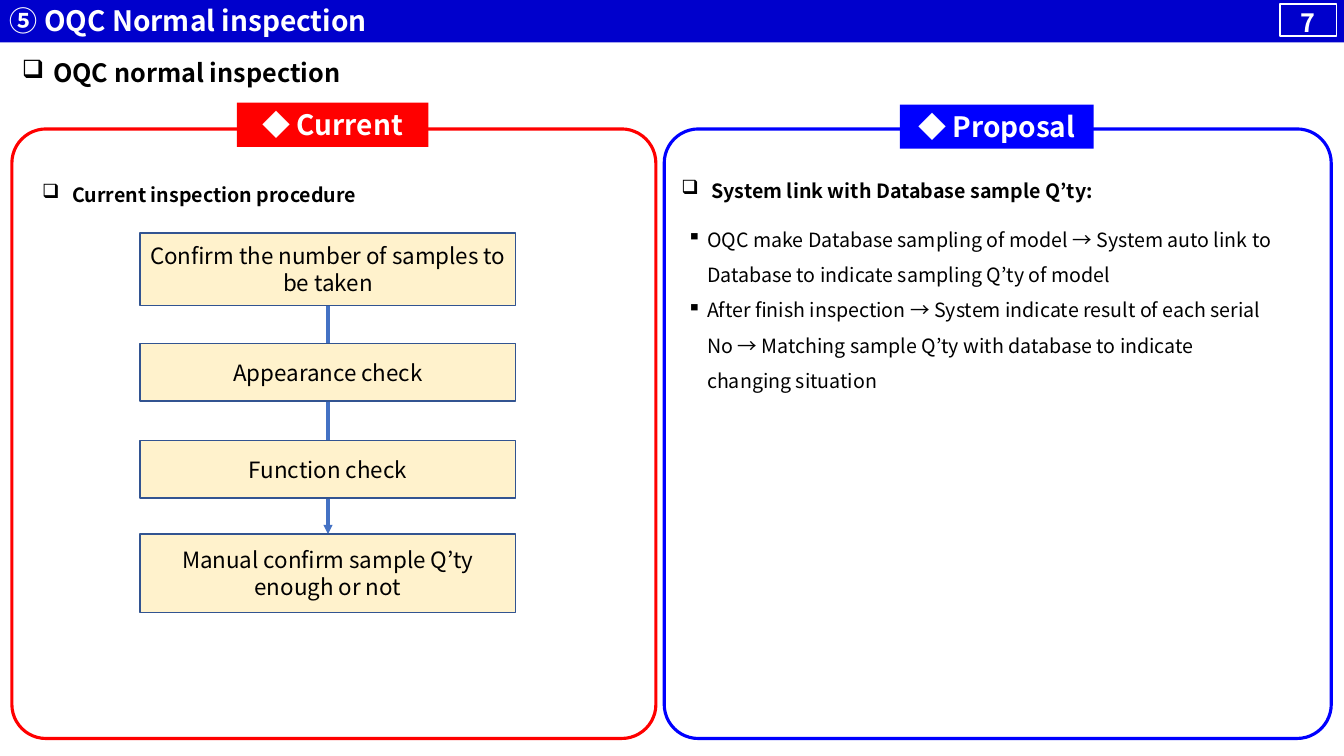
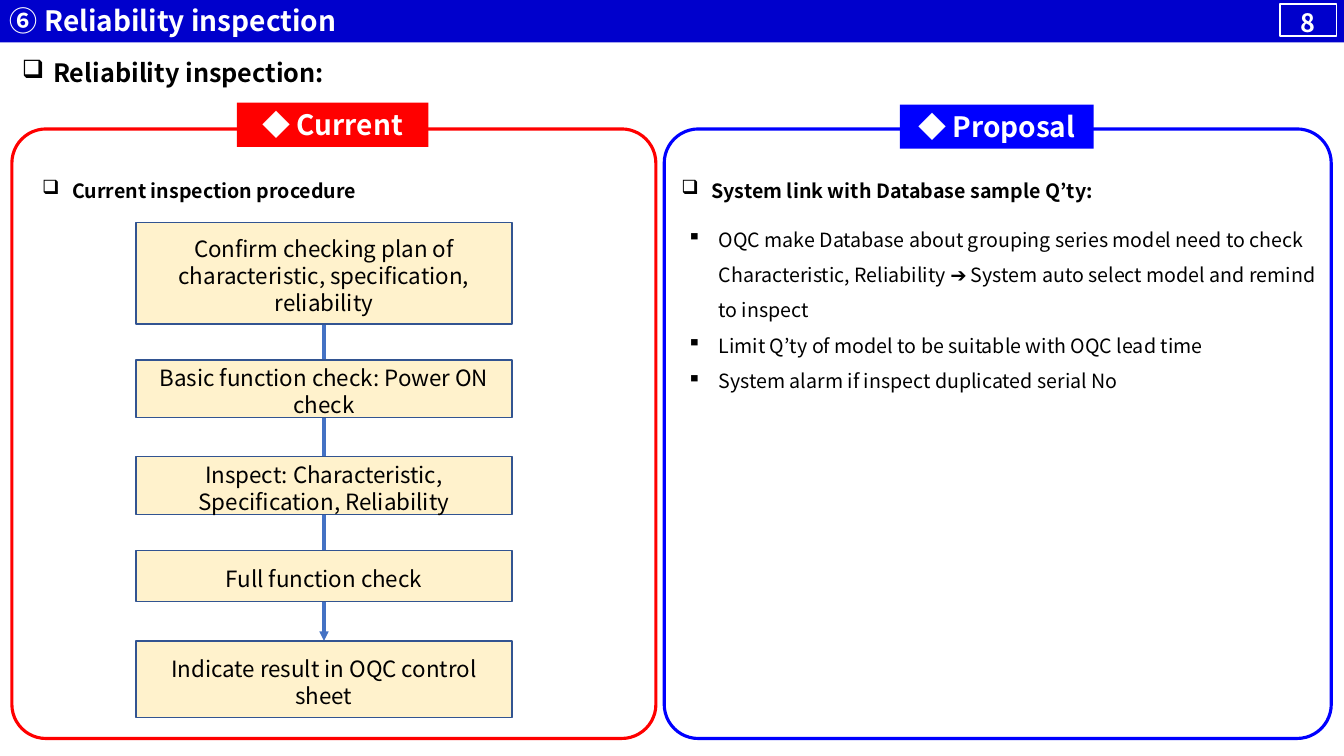
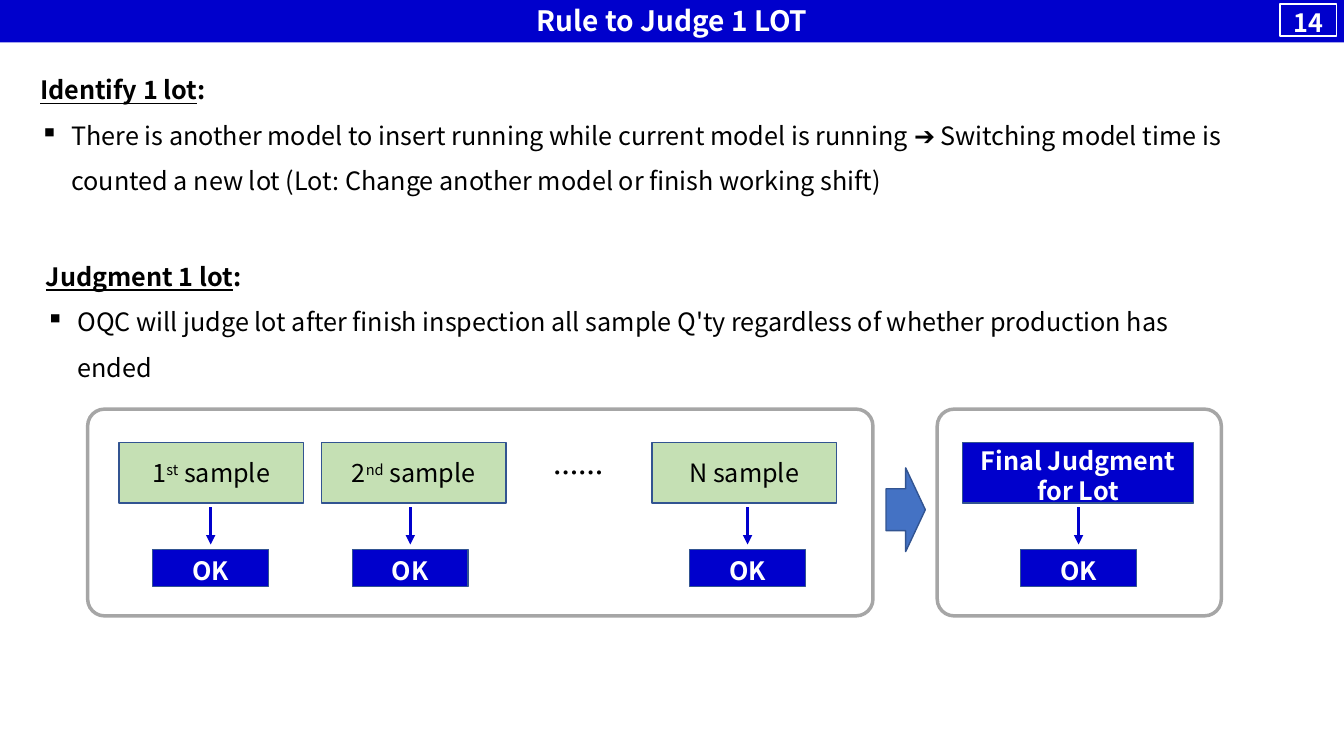
"""Build three OQC slides: two current/proposal comparisons and the lot judgment rule."""
from lxml import etree
from pptx import Presentation
from pptx.dml.color import RGBColor
from pptx.enum.shapes import MSO_CONNECTOR, MSO_SHAPE as Preset
from pptx.enum.text import MSO_ANCHOR as Anchor, MSO_AUTO_SIZE, PP_ALIGN as Align
from pptx.oxml.ns import qn
from pptx.util import Cm, Pt

FONT = "Noto Sans CJK JP"
BLACK = RGBColor(0x00, 0x00, 0x00)
WHITE = RGBColor(0xFF, 0xFF, 0xFF)
NAVY = RGBColor(0x00, 0x00, 0xCC)
BLUE = RGBColor(0x00, 0x00, 0xFF)
RED = RGBColor(0xFF, 0x00, 0x00)
CREAM = RGBColor(0xFF, 0xF2, 0xCC)
GREEN = RGBColor(0xC5, 0xE0, 0xB4)
GREY = RGBColor(0xA6, 0xA6, 0xA6)
STEEL = RGBColor(0x44, 0x72, 0xC4)
EDGE = RGBColor(0x32, 0x54, 0x91)

PANELS = [
    ("◆ Proposal", BLUE, (16.74, 16.81), (22.68, 2.64, 4.88)),
    ("◆ Current", RED, (0.3, 16.23), (5.97, 2.59, 4.83)),
]

COMPARISONS = [
    {
        "title": "⑤ OQC Normal inspection",
        "number": "7",
        "heading": "OQC normal inspection",
        "procedure_top": 4.47,
        "steps_left": 3.53,
        "step_bottom_inset": 0.13,
        "steps": [
            ("Confirm the number of samples to be taken", 5.87, 1.83),
            ("Appearance check", 8.66, 1.45),
            ("Function check", 11.1, 1.45),
            ("Manual confirm sample Q’ty enough or not", 13.46, 1.98),
        ],
        "proposal_width": 15.44,
        "proposal_indent": 0.5,
        "proposals": [
            "OQC make Database sampling of model → System auto link to Database "
            "to indicate sampling Q’ty of model",
            "After finish inspection → System indicate result of each serial No → "
            "Matching sample Q’ty with database to indicate changing situation",
        ],
    },
    {
        "title": "⑥ Reliability inspection",
        "number": "8",
        "heading": "Reliability inspection:",
        "procedure_top": 4.37,
        "steps_left": 3.43,
        "step_bottom_inset": 0,
        "steps": [
            ("Confirm checking plan of characteristic, specification, reliability", 5.6, 2.57),
            ("Basic function check: Power ON check", 9.07, 1.45),
            ("Inspect: Characteristic, Specification, Reliability", 11.51, 1.45),
            ("Full function check", 13.87, 1.29),
            ("Indicate result in OQC control sheet", 16.15, 1.93),
        ],
        "proposal_width": 16.48,
        "proposal_indent": 0.79,
        "proposals": [
            "OQC make Database about grouping series model need to check Characteristic, "
            "Reliability ➔ System auto select model and remind to inspect",
            "Limit Q’ty of model to be suitable with OQC lead time",
            "System alarm if inspect duplicated serial No",
        ],
    },
]

LOT_RULES = [
    ("Identify 1 lot", (0.76, 1.37, 31.47),
     "There is another model to insert running while current model is running ➔ Switching "
     "model time is counted a new lot (Lot: Change another model or finish working shift)"),
    ("Judgment 1 lot", (0.91, 6.07, 30.53),
     "OQC will judge lot after finish inspection all sample Q'ty regardless of whether "
     "production has ended"),
]
SAMPLES = [
    (("1", "st", " sample"), 3, 5.31),
    (("2", "nd", " sample"), 8.1, 10.34),
    (("N sample",), 16.43, 18.84),
]
LOT_FRAMES = [(2.21, 19.79), (23.62, 7.16)]
STEP_WIDTH = 9.47


def write(paragraph, runs, size, color=BLACK, bold=False, align=Align.LEFT,
          bullet=None, indent=0, spacing=None):
    """Fill a paragraph with runs that share one font."""
    for text in runs:
        paragraph.add_run().text = text
    paragraph.alignment = align
    if spacing:
        paragraph.line_spacing = spacing
    if bullet:
        props = paragraph._p.get_or_add_pPr()
        props.set("marL", str(Cm(indent)))
        props.set("indent", str(-Cm(indent)))
        etree.SubElement(props, qn("a:buChar")).set("char", bullet)
    font = paragraph.font
    font.name, font.size, font.bold = FONT, Pt(size), bold
    font.color.rgb = color


def prepare(shape, anchor=Anchor.TOP, bottom_inset=0.13):
    """Set up the text frame of a shape and return it."""
    frame = shape.text_frame
    frame.word_wrap = True
    frame.auto_size = MSO_AUTO_SIZE.NONE
    frame.vertical_anchor = anchor
    frame.margin_left = frame.margin_right = Cm(0.25)
    frame.margin_top, frame.margin_bottom = Cm(0.13), Cm(bottom_inset)
    return frame


def add_text(slide, area, paragraphs, size, anchor=Anchor.TOP, **style):
    """Add a text box whose paragraphs look alike."""
    frame = prepare(slide.shapes.add_textbox(*map(Cm, area)), anchor)
    for index, text in enumerate(paragraphs):
        paragraph = frame.add_paragraph() if index else frame.paragraphs[0]
        write(paragraph, [text], size, **style)


def add_box(slide, area, fill=None, line=None, weight=1, preset=Preset.RECTANGLE, corner=None):
    """Add a preset shape without shadow."""
    box = slide.shapes.add_shape(preset, *map(Cm, area))
    box.shadow.inherit = False
    if corner:
        box.adjustments[0] = corner
    if fill is None:
        box.fill.background()
    else:
        box.fill.solid()
        box.fill.fore_color.rgb = fill
    if line is None:
        box.line.fill.background()
    else:
        box.line.color.rgb = line
        box.line.width = Pt(weight)
    return box


def add_label(slide, area, runs, size, color=BLACK, bold=False, anchor=Anchor.MIDDLE,
              bottom_inset=0.13, **look):
    """Add a box with one centred paragraph."""
    frame = prepare(add_box(slide, area, **look), anchor, bottom_inset)
    write(frame.paragraphs[0], runs, size, color, bold, Align.CENTER)
    return frame


def add_arrow(slide, x, top, bottom, color):
    """Add a downward arrow."""
    arrow = slide.shapes.add_connector(MSO_CONNECTOR.STRAIGHT, Cm(x), Cm(top), Cm(x), Cm(bottom))
    arrow.line.color.rgb = color
    arrow.line.width = Pt(2.25)
    props = arrow._element.spPr
    etree.SubElement(props.find(qn("a:ln")), qn("a:tailEnd")).set("type", "triangle")
    etree.SubElement(props, qn("a:effectLst"))


def start_slide(deck, title, number, align=Align.LEFT):
    """Add a slide with the title band and the page number."""
    slide = deck.slides.add_slide(deck.slide_layouts[5])
    band = slide.shapes.title
    band.left, band.top, band.width, band.height = map(Cm, (0, -0.05, 33.88, 1.12))
    band.fill.solid()
    band.fill.fore_color.rgb = NAVY
    write(prepare(band, Anchor.MIDDLE).paragraphs[0], [title], 20, WHITE, True, align)
    add_label(slide, (32.26, 0.1, 1.42, 0.81), [number], 18, WHITE, True,
              bottom_inset=0, line=WHITE)
    return slide


def add_comparison(deck, content):
    """Add a slide that sets the current procedure beside the proposal."""
    slide = start_slide(deck, content["title"], content["number"])
    add_text(slide, (0.3, 1.32, 33.25, 1.02), [content["heading"]], 18,
             bold=True, bullet="❑", indent=0.79)
    for name, color, (left, width), (tab_left, tab_top, tab_width) in PANELS:
        add_box(slide, (left, 3.25, width, 15.36), line=color, weight=2.25,
                preset=Preset.ROUNDED_RECTANGLE, corner=0.056)
        add_label(slide, (tab_left, tab_top, tab_width, 1.11), [name], 20, WHITE, True,
                  Anchor.TOP, fill=color)
    for heading, left, top in [
        ("System link with Database sample Q’ty:", 16.92, 4.37),
        ("Current inspection procedure", 0.81, content["procedure_top"]),
    ]:
        add_text(slide, (left, top, 15.72, 0.86), [heading], 14,
                 bold=True, bullet="❑", indent=0.76)
    add_text(slide, (17.07, 5.31, content["proposal_width"], 4.67), content["proposals"], 14,
             bullet="▪", indent=content["proposal_indent"], spacing=1.5)

    steps, left = content["steps"], content["steps_left"]
    _, first_top, first_height = steps[0]
    add_arrow(slide, left + STEP_WIDTH / 2, first_top + first_height, steps[-1][1], STEEL)
    for step, top, height in steps:
        add_label(slide, (left, top, STEP_WIDTH, height), [step], 16,
                  bottom_inset=content["step_bottom_inset"], fill=CREAM, line=EDGE)


def add_verdict(slide, center):
    """Add the arrow and the OK box under a sample or the final judgment."""
    add_arrow(slide, center, 12.78, 13.72, NAVY)
    add_label(slide, (center - 1.46, 13.84, 2.92, 0.94), ["OK"], 18, WHITE, True,
              bottom_inset=0, fill=NAVY, line=EDGE)


def add_lot_rule(deck):
    """Add the slide with the rule to judge a lot."""
    slide = start_slide(deck, "Rule to Judge 1 LOT", "14", Align.CENTER)
    for heading, (left, top, width), rule in LOT_RULES:
        frame = prepare(slide.shapes.add_textbox(Cm(left), Cm(top), Cm(width), Cm(3.63)))
        write(frame.paragraphs[0], [heading, ":"], 18, bold=True, spacing=1.5)
        frame.paragraphs[0].runs[0].font.underline = True
        write(frame.add_paragraph(), [rule], 18, bullet="▪", indent=0.79, spacing=1.5)

    for left, width in LOT_FRAMES:
        add_box(slide, (left, 10.31, width, 5.21), line=GREY, weight=2.5,
                preset=Preset.ROUNDED_RECTANGLE, corner=0.081)
    for label, left, center in SAMPLES:
        frame = add_label(slide, (left, 11.15, 4.65, 1.53), label, 18, fill=GREEN, line=EDGE)
        for ordinal in frame.paragraphs[0].runs[1:2]:
            ordinal._r.get_or_add_rPr().set("baseline", "30000")
        add_verdict(slide, center)
    add_text(slide, (13.23, 11.15, 2.72, 1.53), ["……"], 18, Anchor.MIDDLE,
             bold=True, align=Align.CENTER)
    add_box(slide, (22.33, 11.79, 0.99, 2.11), STEEL, EDGE, preset=Preset.RIGHT_ARROW)
    add_label(slide, (24.26, 11.15, 5.82, 1.53), ["Final Judgment for Lot"], 18, WHITE, True,
              bottom_inset=0, fill=NAVY, line=EDGE)
    add_verdict(slide, 27.18)


def main():
    """Build and save the deck."""
    deck = Presentation()
    deck.slide_width, deck.slide_height = Cm(33.87), Cm(19.05)
    for content in COMPARISONS:
        add_comparison(deck, content)
    add_lot_rule(deck)
    deck.save("out.pptx")


if __name__ == "__main__":
    main()
